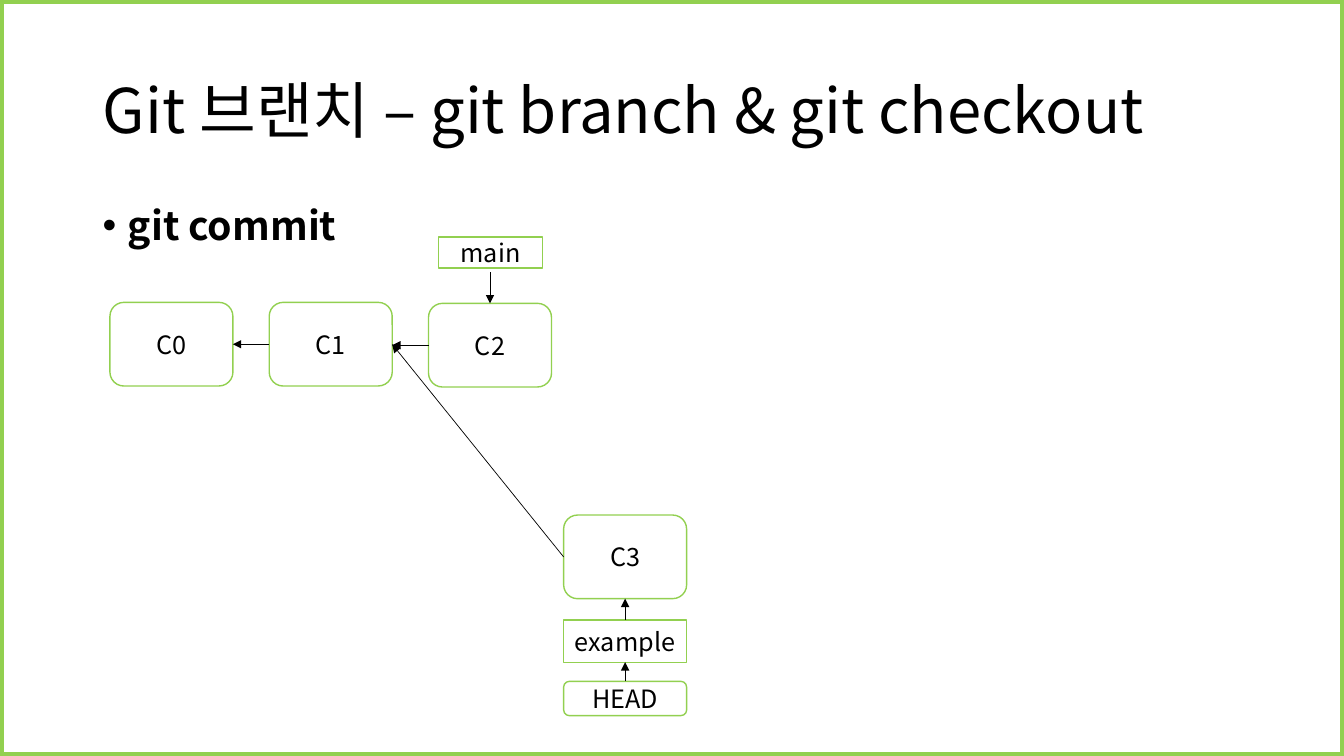
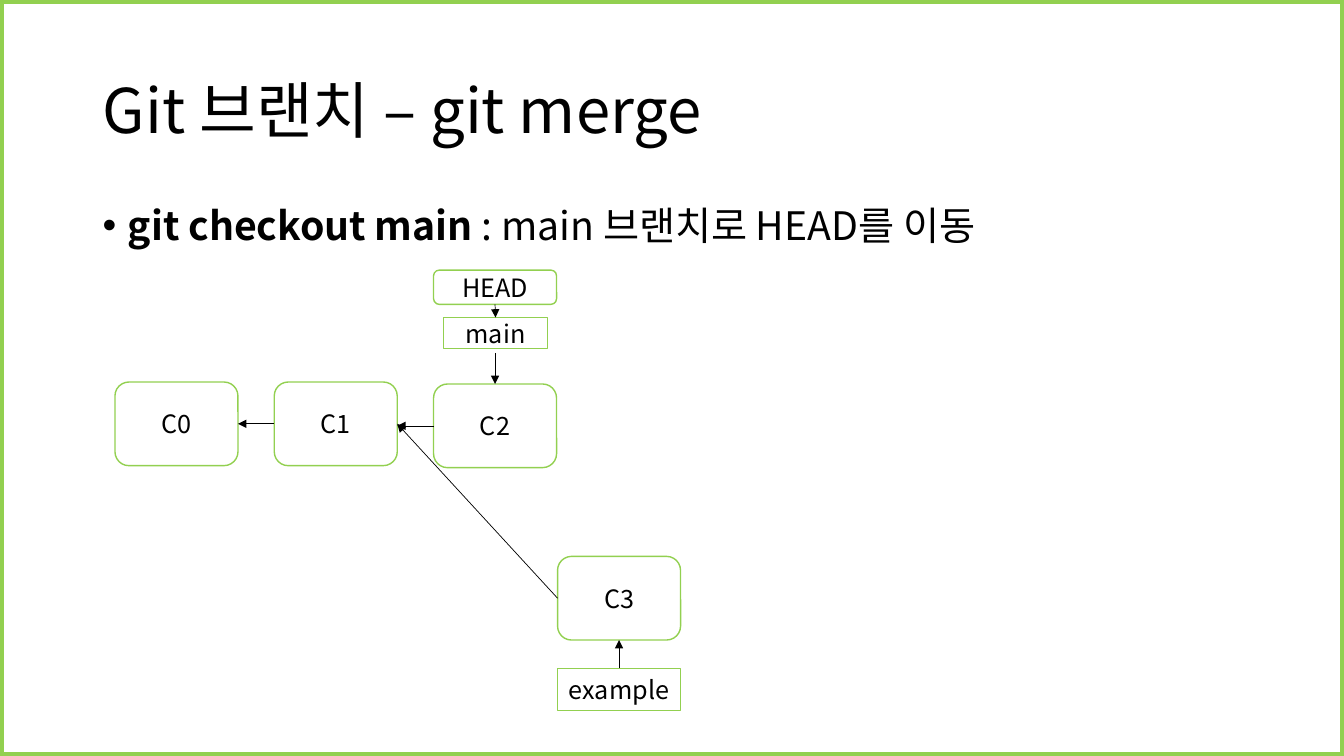
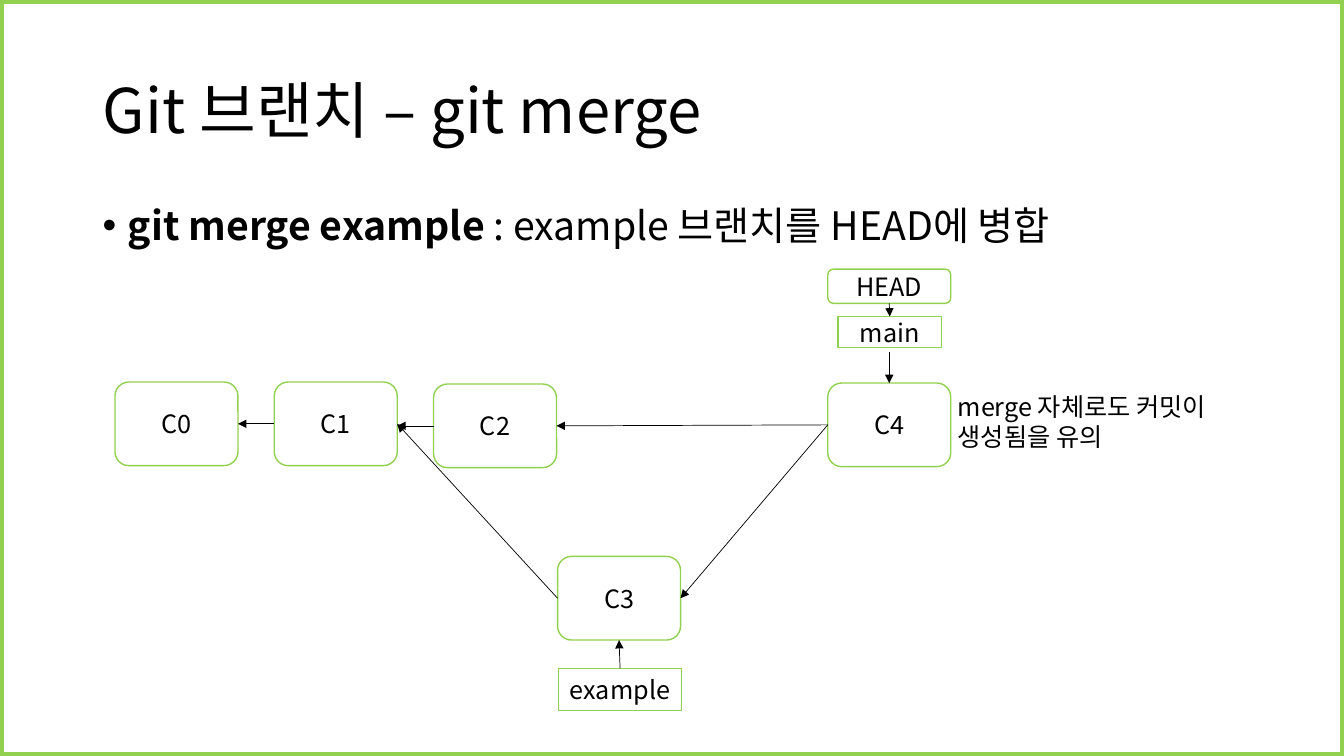
from dataclasses import dataclass

from lxml import etree
from pptx import Presentation
from pptx.dml.color import RGBColor
from pptx.enum.shapes import MSO_CONNECTOR, MSO_SHAPE
from pptx.enum.text import MSO_ANCHOR, MSO_AUTO_SIZE, PP_ALIGN
from pptx.oxml.ns import qn
from pptx.util import Emu, Pt

PX = 9144  # 100 px to the inch
RECT, ROUND = MSO_SHAPE.RECTANGLE, MSO_SHAPE.ROUNDED_RECTANGLE
STRAIGHT = MSO_CONNECTOR.STRAIGHT
LEFT_ALIGN, CENTER = PP_ALIGN.LEFT, PP_ALIGN.CENTER
TOP_ANCHOR, MIDDLE = MSO_ANCHOR.TOP, MSO_ANCHOR.MIDDLE
NO_FIT, GROW = MSO_AUTO_SIZE.NONE, MSO_AUTO_SIZE.SHAPE_TO_FIT_TEXT
TOP, LEFT, BOTTOM, RIGHT = range(4)  # connection sites
TITLE_ONLY = 5


@dataclass(frozen=True)
class Theme:
    font: str = "Noto Sans CJK KR"
    ink: RGBColor = RGBColor(0, 0, 0)
    green: RGBColor = RGBColor(0x92, 0xD0, 0x50)
    title_size: int = 44
    body_size: int = 28
    label_size: int = 18
    frame_line: float = 6
    box_line: float = 1
    arrow_line: float = 0.5


THEME = Theme()


# Descriptions of the repeated elements
@dataclass(frozen=True)
class Area:
    left: int
    top: int
    width: int
    height: int


SLIDE = Area(0, 0, 1333, 750)
TITLE = Area(92, 40, 1150, 145)
BODY = Area(92, 200, 1150, 476)


@dataclass(frozen=True)
class Box:
    name: str
    area: Area
    shape: int = ROUND


@dataclass(frozen=True)
class Arrow:
    source: str
    source_side: int
    target: str
    target_side: int
    gap: int = 0  # loose start, this far below the source
    level: bool = False  # loose end, at the height of the start


@dataclass(frozen=True)
class Page:
    title: str
    command: str
    meaning: str
    boxes: list[Box]
    arrows: list[Arrow]
    note: str = ""


# Building blocks of the commit graphs
def commit(name: str, left: int, top: int) -> Box:
    return Box(name, Area(left, top, 122, 83))


def head(left: int, top: int) -> Box:
    return Box("HEAD", Area(left, top, 122, 34))


def example(left: int, top: int) -> Box:
    return Box("example", Area(left, top, 122, 42), RECT)


def main_label(tip: Box) -> Box:
    return Box("main", Area(tip.area.left + 10, tip.area.top - 66, 103, 31), RECT)


def head_over_main(tip: Box) -> Box:
    return head(tip.area.left, tip.area.top - 113)


def chain(left: int, top: int, drop: int) -> list[Box]:
    """Three commits in a row, the last one slightly lower."""
    return [commit(f"C{i}", left + 158 * i, top + (drop if i == 2 else 0))
            for i in range(3)]


HISTORY = [
    Arrow("C1", LEFT, "C0", RIGHT),
    Arrow("C2", LEFT, "C1", RIGHT, level=True),
    Arrow("C3", LEFT, "C1", RIGHT),
    Arrow("example", TOP, "C3", BOTTOM),
]
HEAD_TO_MAIN = Arrow("HEAD", BOTTOM, "main", TOP)


def main_to(tip: str) -> Arrow:
    return Arrow("main", BOTTOM, tip, TOP, gap=4)


EARLY_CHAIN = chain(109, 300, 1)
LATE_CHAIN = chain(114, 379, 2)
C3 = commit("C3", 553, 552)
C4 = commit("C4", 821, 380)

PAGES = [
    Page("Git 브랜치 – git branch & git checkout", "git commit", "",
         [*EARLY_CHAIN, main_label(EARLY_CHAIN[-1]),
          commit("C3", 559, 511), example(559, 615), head(559, 676)],
         [*HISTORY, main_to("C2"), Arrow("HEAD", TOP, "example", BOTTOM)]),
    Page("Git 브랜치 – git merge", "git checkout main ",
         ": main 브랜치로 HEAD를 이동",
         [*LATE_CHAIN, main_label(LATE_CHAIN[-1]),
          head_over_main(LATE_CHAIN[-1]), C3, example(553, 663)],
         [*HISTORY, main_to("C2"), HEAD_TO_MAIN]),
    Page("Git 브랜치 – git merge", "git merge example ",
         ": example 브랜치를 HEAD에 병합",
         [*LATE_CHAIN, main_label(C4), head_over_main(C4), C3, C4,
          example(554, 663)],
         [*HISTORY, main_to("C4"), HEAD_TO_MAIN,
          Arrow("C4", LEFT, "C2", RIGHT), Arrow("C4", LEFT, "C3", RIGHT)],
         "merge 자체로도 커밋이 생성됨을 유의"),
]


# Drawing
def place(area: Area) -> tuple[Emu, Emu, Emu, Emu]:
    return tuple(Emu(value * PX) for value in
                 (area.left, area.top, area.width, area.height))


def add_span(para, text: str, size: int, bold: bool = False) -> None:
    span = para.add_run()
    span.text = text
    font = span.font
    font.name, font.size, font.bold = THEME.font, Pt(size), bold
    font.color.rgb = THEME.ink
    east_asian = etree.Element(qn("a:ea"), typeface=THEME.font)
    font._element.find(qn("a:latin")).addnext(east_asian)


def write(shape, text: str, *, size: int = THEME.label_size, bold: bool = False,
          align=LEFT_ALIGN, anchor=TOP_ANCHOR, fit=NO_FIT, spacing: float = 1.0):
    """Put formatted text in a shape and return its paragraph."""
    frame = shape.text_frame
    frame.word_wrap, frame.auto_size = True, fit
    frame.vertical_anchor = anchor
    para = frame.paragraphs[0]
    para.alignment, para.line_spacing = align, spacing
    add_span(para, text, size, bold)
    return para


def add_outline(slide, area: Area, kind: int, width: float):
    shape = slide.shapes.add_shape(kind, *place(area))
    shape.shadow.inherit = False
    shape.fill.background()
    shape.line.color.rgb = THEME.green
    shape.line.width = Pt(width)
    return shape


def add_title(slide, text: str) -> None:
    title = slide.shapes.title
    title.left, title.top, title.width, title.height = place(TITLE)
    write(title, text, size=THEME.title_size, anchor=MIDDLE, spacing=0.9)


def add_bullet(slide, command: str, meaning: str) -> None:
    body = slide.shapes.add_textbox(*place(BODY))
    para = write(body, command, size=THEME.body_size, bold=True, spacing=0.9)
    para.space_before = Pt(10)
    if meaning:
        add_span(para, meaning, THEME.body_size)
    properties = para._p.get_or_add_pPr()
    properties.set("marL", str(25 * PX))
    properties.set("indent", str(-25 * PX))
    etree.SubElement(properties, qn("a:buFont"), typeface="Arial")
    etree.SubElement(properties, qn("a:buChar"), char="•")


def add_box(slide, box: Box):
    shape = add_outline(slide, box.area, box.shape, THEME.box_line)
    write(shape, box.name, align=CENTER, anchor=MIDDLE)
    frame = shape.text_frame
    frame.margin_left = frame.margin_right = 0
    frame.margin_top = frame.margin_bottom = 0
    return shape


def side_point(shape, side: int) -> tuple[int, int]:
    x = {LEFT: 0, RIGHT: shape.width}.get(side, shape.width // 2)
    y = {TOP: 0, BOTTOM: shape.height}.get(side, shape.height // 2)
    return shape.left + x, shape.top + y


def add_arrow(slide, arrow: Arrow, shapes: dict) -> None:
    source, target = shapes[arrow.source], shapes[arrow.target]
    start_x, start_y = side_point(source, arrow.source_side)
    end_x, end_y = side_point(target, arrow.target_side)
    if arrow.gap:
        start_x, start_y = end_x, start_y + arrow.gap * PX
    if arrow.level:
        end_y = start_y
    line = slide.shapes.add_connector(STRAIGHT, start_x, start_y, end_x, end_y)
    if not arrow.gap:
        line.begin_connect(source, arrow.source_side)
    if not arrow.level:
        line.end_connect(target, arrow.target_side)
    line.line.color.rgb = THEME.ink
    line.line.width = Pt(THEME.arrow_line)
    properties = line._element.spPr
    etree.SubElement(properties.find(qn("a:ln")), qn("a:tailEnd"), type="triangle")
    etree.SubElement(properties, qn("a:effectLst"))


def add_page(deck, page: Page):
    slide = deck.slides.add_slide(deck.slide_layouts[TITLE_ONLY])
    add_title(slide, page.title)
    add_bullet(slide, page.command, page.meaning)
    shapes = {box.name: add_box(slide, box) for box in page.boxes}
    for arrow in page.arrows:
        add_arrow(slide, arrow, shapes)
    if page.note:
        note = slide.shapes.add_textbox(*place(Area(940, 383, 285, 101)))
        write(note, page.note, fit=GROW)
    return slide


def share_frame(slide) -> None:
    """Draw the green frame and move it to the layout, behind everything."""
    frame = add_outline(slide, SLIDE, RECT, THEME.frame_line)
    slide.slide_layout.shapes.element.insert(2, frame.element)


def main() -> None:
    deck = Presentation()
    deck.slide_width, deck.slide_height = place(SLIDE)[2:]
    slides = [add_page(deck, page) for page in PAGES]
    share_frame(slides[0])
    deck.save("out.pptx")


if __name__ == "__main__":
    main()
